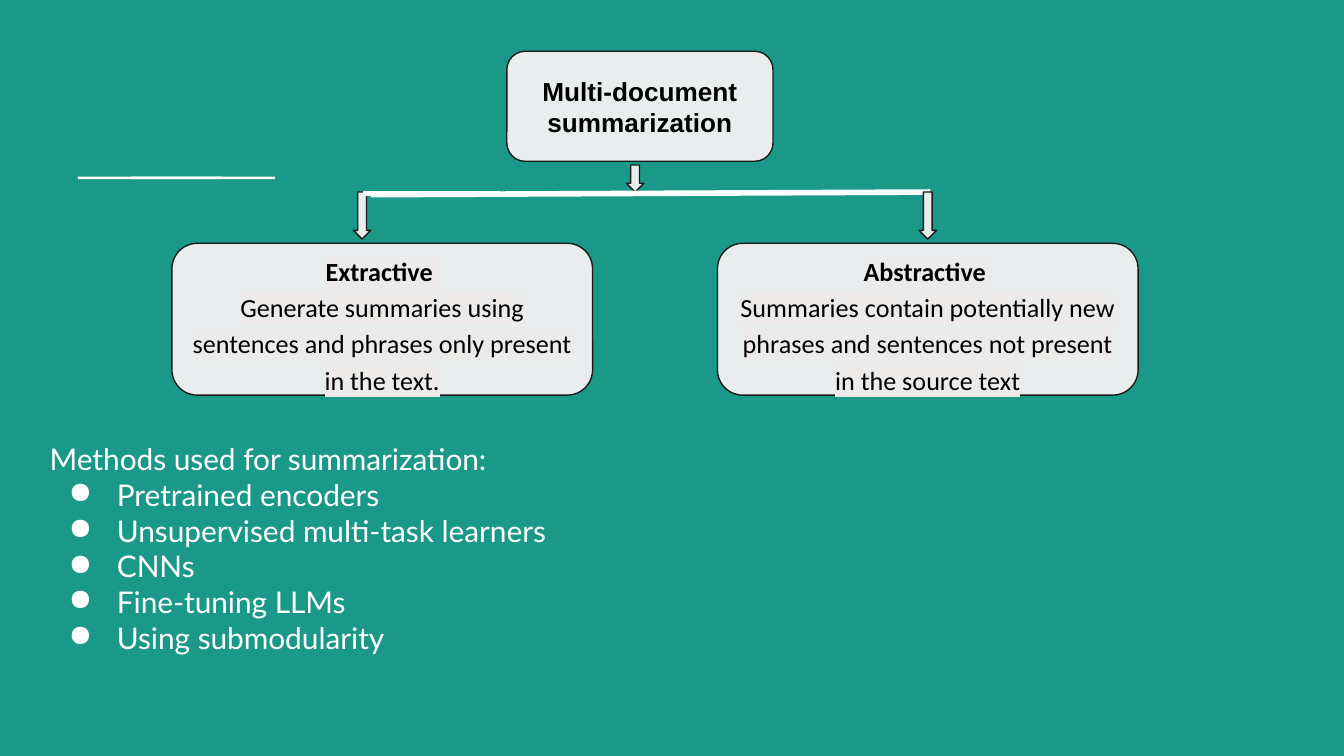
from lxml import etree
from pptx import Presentation
from pptx.dml.color import RGBColor
from pptx.enum.shapes import MSO_CONNECTOR, MSO_SHAPE
from pptx.enum.text import MSO_ANCHOR, PP_ALIGN
from pptx.oxml.ns import qn
from pptx.util import Cm, Pt

TEAL = RGBColor(0x1A, 0x99, 0x88)
WHITE = RGBColor(0xFF, 0xFF, 0xFF)
BLACK = RGBColor(0x00, 0x00, 0x00)
PALE = RGBColor(0xE9, 0xED, 0xEE)
OUTLINE = RGBColor(0x1A, 0x1A, 0x1A)
HIGHLIGHT = RGBColor(0xED, 0xEB, 0xE9)

RECTANGLE = MSO_SHAPE.RECTANGLE
ROUNDED = MSO_SHAPE.ROUNDED_RECTANGLE
DOWN_ARROW = MSO_SHAPE.DOWN_ARROW
STRAIGHT = MSO_CONNECTOR.STRAIGHT
CENTER = PP_ALIGN.CENTER
MIDDLE = MSO_ANCHOR.MIDDLE

INSET = 0.25
BRANCHES = [
    (3.25, 6.68, "Extractive ",
     "Generate summaries using sentences and phrases only present in the text."),
    (13.56, 17.37, "Abstractive ",
     "Summaries contain potentially new phrases and sentences not present "
     "in the source text"),
]
METHODS = [
    "Pretrained encoders",
    "Unsupervised multi-task learners",
    "CNNs",
    "Fine-tuning LLMs",
    "Using submodularity",
]


def add_block(slide, preset, box, fill=PALE, outline=OUTLINE):
    block = slide.shapes.add_shape(preset, *map(Cm, box))
    block.shadow.inherit = False
    block.fill.solid()
    block.fill.fore_color.rgb = fill
    if outline is None:
        block.line.fill.background()
    else:
        block.line.color.rgb = outline
        block.line.width = Pt(0.75)
    return block


def set_insets(frame, top=INSET, bottom=INSET):
    frame.word_wrap = True
    frame.margin_left = frame.margin_right = Cm(INSET)
    frame.margin_top, frame.margin_bottom = Cm(top), Cm(bottom)


def format_runs(paragraph, font_name, size, color, bold=False):
    for run in paragraph.runs:
        run.font.name = font_name
        run.font.size = Pt(size)
        run.font.bold = bold
        run.font.color.rgb = color


def highlight_runs(paragraph):
    for run in paragraph.runs:
        highlight = etree.Element(qn("a:highlight"))
        etree.SubElement(highlight, qn("a:srgbClr"), val=str(HIGHLIGHT))
        run.font._element.find(qn("a:solidFill")).addnext(highlight)


def add_accent(slide, left, top, width, height):
    bar_width = 0.73 * width
    for bar_left in (left, left + width - bar_width):
        add_block(slide, RECTANGLE, (bar_left, top, bar_width, height), WHITE, None)


def add_topic(slide, box):
    frame = add_block(slide, ROUNDED, box).text_frame
    set_insets(frame)
    frame.vertical_anchor = MIDDLE
    frame.text = "Multi-document summarization"
    topic = frame.paragraphs[0]
    topic.alignment = CENTER
    format_runs(topic, "Arial", 14, BLACK, bold=True)


def add_branch(slide, box, heading, description):
    frame = add_block(slide, ROUNDED, box).text_frame
    set_insets(frame, top=0.15, bottom=0)
    frame.vertical_anchor = MIDDLE
    frame.text = f"{heading}\n{description}"
    for index, paragraph in enumerate(frame.paragraphs):
        paragraph.alignment = CENTER
        paragraph.line_spacing = 1.15
        format_runs(paragraph, "Calibri", 14, BLACK, bold=index == 0)
        highlight_runs(paragraph)


def add_crossbar(slide, start_x, start_y, end_x, end_y):
    crossbar = slide.shapes.add_connector(
        STRAIGHT, Cm(start_x), Cm(start_y), Cm(end_x), Cm(end_y))
    crossbar.line.color.rgb = WHITE
    crossbar.line.width = Pt(3)
    etree.SubElement(crossbar._element.spPr, qn("a:effectLst"))


def add_methods(slide, box):
    frame = slide.shapes.add_textbox(*map(Cm, box)).text_frame
    set_insets(frame)
    frame.text = "\n".join(["Methods used for summarization:", *METHODS])
    for paragraph in frame.paragraphs:
        format_runs(paragraph, "Lato", 16, WHITE)
    for method in frame.paragraphs[1:]:
        properties = method._p.get_or_add_pPr()
        properties.set("marL", str(Cm(1.27)))
        properties.set("indent", str(Cm(-0.91)))
        bullet_color = etree.SubElement(properties, qn("a:buClr"))
        etree.SubElement(bullet_color, qn("a:srgbClr"), val=str(WHITE))
        etree.SubElement(properties, qn("a:buChar"), char="●")


def main():
    presentation = Presentation()
    presentation.slide_width, presentation.slide_height = Cm(25.4), Cm(14.29)
    slide = presentation.slides.add_slide(presentation.slide_layouts[6])
    slide.background.fill.solid()
    slide.background.fill.fore_color.rgb = TEAL

    add_accent(slide, 1.47, 3.34, 3.73, 0.05)
    add_topic(slide, (9.58, 0.97, 5.03, 2.08))
    for left, _, heading, description in BRANCHES:
        add_branch(slide, (left, 4.6, 7.95, 2.87), heading, description)
    add_methods(slide, (0.69, 8.08, 24.13, 5.21))

    add_block(slide, DOWN_ARROW, (11.84, 3.12, 0.33, 0.51))
    add_crossbar(slide, 7.01, 3.68, 17.58, 3.63)
    for _, arrow_left, _, _ in BRANCHES:
        add_block(slide, DOWN_ARROW, (arrow_left, 3.63, 0.33, 0.89))
    add_crossbar(slide, 6.86, 3.66, 9.45, 3.66)

    presentation.save("out.pptx")


if __name__ == "__main__":
    main()
